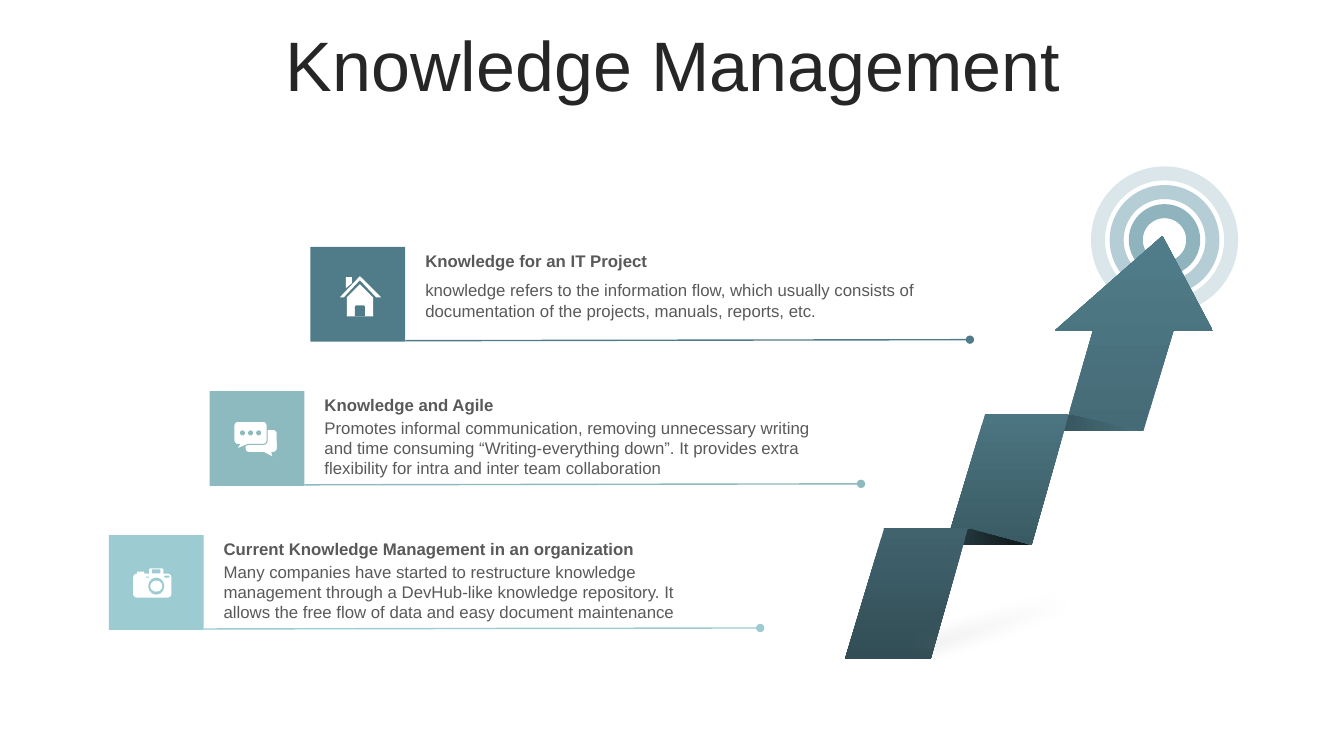
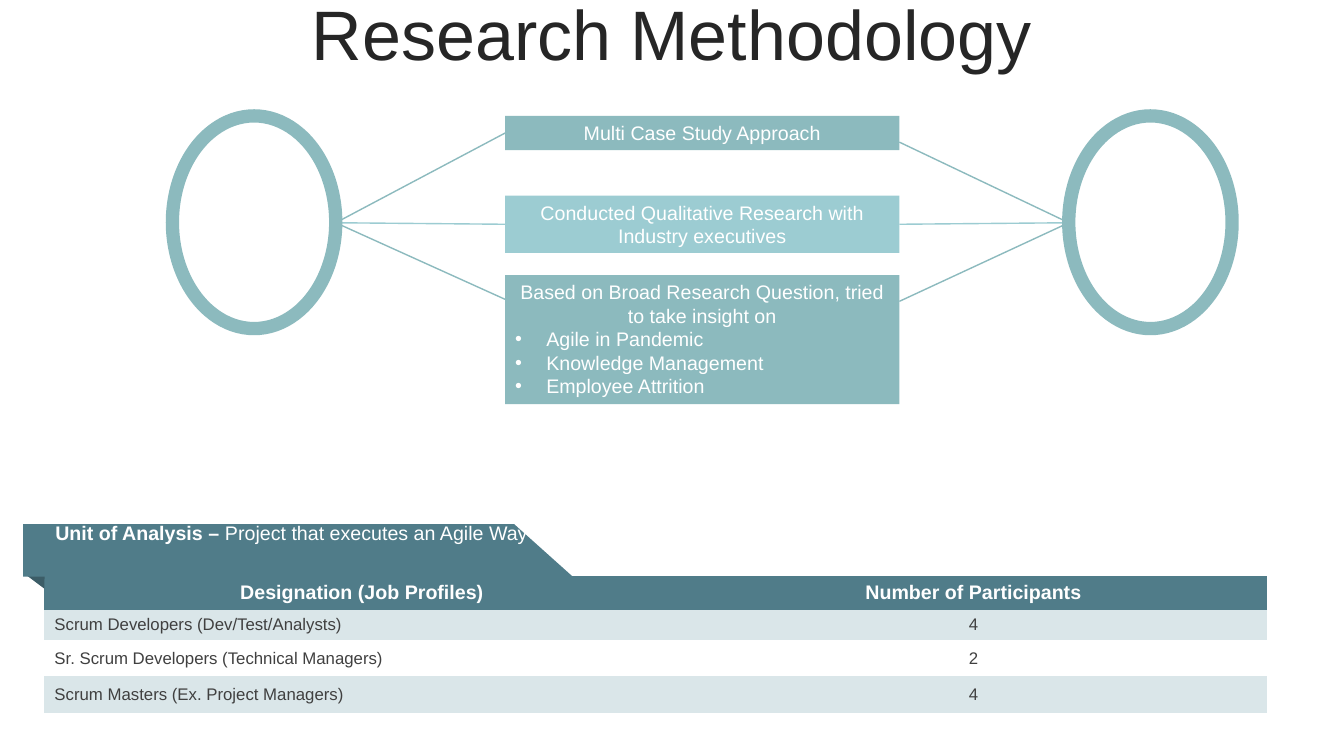
from lxml import etree
from pptx import Presentation
from pptx import util as u
from pptx.dml.color import RGBColor
from pptx.enum import shapes, text
from pptx.oxml.ns import qn

In = u.Inches
MSO = shapes.MSO_SHAPE
CENTER, LEFT = text.PP_ALIGN.CENTER, text.PP_ALIGN.LEFT
TOP, MIDDLE = text.MSO_ANCHOR.TOP, text.MSO_ANCHOR.MIDDLE
FONT = "Arial"
WHITE, INK, GREY, CELL_INK = "FFFFFF", "262626", "595959", "404040"
DEEP, TEAL, SKY, PALE = "507C89", "8CBABE", "9CCCD2", "DAE6E9"
NO_STYLE = "{2D5ABB26-0587-4C30-8999-92F81FD0307C}"


def rgb(value):
    return RGBColor.from_string(value)


def sub(parent, tag, **attrs):
    return etree.SubElement(parent, qn(tag), attrs)


def paint(sp, fill=None, line=None, width=1):
    """Fill with a colour, or with (start, end, angle) as a gradient."""
    sp.shadow.inherit = False
    if fill is None:
        sp.fill.background()
    elif isinstance(fill, str):
        sp.fill.solid()
        sp.fill.fore_color.rgb = rgb(fill)
    else:
        sp.fill.gradient()
        sp.fill.gradient_angle = fill[2]
        for stop, value in zip(sp.fill.gradient_stops, fill):
            stop.color.rgb = rgb(value)
    if line:
        sp.line.color.rgb = rgb(line)
        sp.line.width = u.Pt(width)
    else:
        sp.line.fill.background()
    return sp


def shape(s, kind, box, *look):
    return paint(s.shapes.add_shape(kind, *map(In, box)), *look)


def outline(s, contours, fill, left=0, top=0):
    """Closed polygons, as one shape, offset from left and top."""
    moved = [[(In(left + x), In(top + y)) for x, y in c] for c in contours]
    builder = s.shapes.build_freeform(*moved[0][0], scale=1.0)
    builder.add_line_segments(moved[0][1:])
    for contour in moved[1:]:
        builder.move_to(*contour[0])
        builder.add_line_segments(contour[1:])
    return paint(builder.convert_to_shape(), fill)


def line(s, start, end, color, dot=False):
    c = s.shapes.add_connector(shapes.MSO_CONNECTOR.STRAIGHT,
                               *map(In, start + end))
    c.line.color.rgb = rgb(color)
    c.line.width = u.Pt(1)
    if dot:
        sub(c.line._get_or_add_ln(), "a:tailEnd", type="oval")
    sub(c._element.spPr, "a:effectLst")
    return c


def run(p, words, size, color, bold=False):
    r = p.add_run()
    r.text = words
    for name, value in {"name": FONT, "size": u.Pt(size), "bold": bold}.items():
        setattr(r.font, name, value)
    r.font.color.rgb = rgb(color)


def write(tf, words, size, color, bold=False, align=LEFT, anchor=TOP):
    tf.word_wrap = True
    tf.vertical_anchor = anchor
    p = tf.paragraphs[0]
    p.alignment = align
    run(p, words, size, color, bold)
    return p


def text_box(s, box, *words, **style):
    tf = s.shapes.add_textbox(*map(In, box)).text_frame
    return write(tf, *words, **style)


def title(s, box, words):
    p = text_box(s, box, words, 50, INK, align=CENTER, anchor=MIDDLE)
    p.line_spacing = 0.8


def house(s, left, top, color):
    outline(s, [
        [(0.49, 0.37), (0.62, 0.5), (0.62, 0.69), (0.36, 0.69), (0.36, 0.5)],
        [(0.35, 0.3), (0.41, 0.3), (0.41, 0.36), (0.35, 0.41)],
        [(0.49, 0.29), (0.7, 0.5), (0.65, 0.5), (0.49, 0.33),
         (0.33, 0.5), (0.29, 0.5)],
    ], WHITE, left, top)
    shape(s, MSO.ROUND_2_SAME_RECTANGLE,
          (left + 0.44, top + 0.58, 0.1, 0.11), color)


def chat(s, left, top, color):
    for x, y, width, tail in ((0.35, 0.38, 0.32, 0.38),
                              (0.24, 0.3, 0.33, -0.44)):
        bubble = shape(s, MSO.ROUNDED_RECTANGULAR_CALLOUT,
                       (left + x, top + y, width, 0.23), WHITE, color, 0.75)
        bubble.adjustments[0], bubble.adjustments[1] = tail, 0.72
    for i in range(3):
        shape(s, MSO.OVAL, (left + 0.3 + i * 0.08, top + 0.39, 0.05, 0.05),
              color)


def camera(s, left, top, color):
    for kind, x, y, w, h, fill in (
            (MSO.ROUNDED_RECTANGLE, 0.24, 0.38, 0.38, 0.24, WHITE),
            (MSO.RECTANGLE, 0.28, 0.36, 0.07, 0.03, WHITE),
            (MSO.ROUNDED_RECTANGLE, 0.4, 0.33, 0.14, 0.07, WHITE),
            (MSO.RECTANGLE, 0.43, 0.34, 0.08, 0.04, color),
            (MSO.RECTANGLE, 0.37, 0.41, 0.03, 0.01, color),
            (MSO.RECTANGLE, 0.55, 0.4, 0.05, 0.02, color),
            (MSO.OVAL, 0.39, 0.42, 0.16, 0.17, color),
            (MSO.OVAL, 0.41, 0.45, 0.12, 0.11, WHITE)):
        shape(s, kind, (left + x, top + y, w, h), fill)


def topic(s, left, top, color, icon, head, body, body_gap, reach):
    line(s, (left + 0.94, top + 0.93), (left + reach, top + 0.92), color, True)
    text_box(s, (left + 1.04, top + body_gap, 5.1, 0.71), body, 12, GREY)
    text_box(s, (left + 1.04, top - 0.01, 5.1, 0.3), head, 12, GREY, True)
    shape(s, MSO.RECTANGLE, (left, top, 0.94, 0.94), color)
    icon(s, left, top, color)


def target(s, x, y):
    for size, color in ((1.32, PALE), (0.95, "B5CDD4"), (0.57, "90B4BE")):
        shape(s, MSO.OVAL, (x - size / 2, y - size / 2, size, size),
              None, color, 10)


def folded_arrow(s, left, top):
    """The rising ribbon; left and top are its extreme corner."""
    panel = [(0.39, 0), (1.22, 0), (0.85, 1.3), (0, 1.3)]
    head = [(3.15, 0), (3.65, 0.94), (3.26, 0.94), (2.96, 1.94),
            (2.17, 1.94), (2.46, 0.94), (2.08, 0.94)]
    upper_fold = [(2.96, 1.94), (2.25, 1.78), (1.4, 1.78), (1.91, 1.94)]
    lower_fold = [(1.83, 3.07), (1.24, 2.91), (0.38, 2.9), (0.84, 3.06)]
    for points, dx, dy, fill in (
            (head, 0, 0, ("456B76", DEEP, 90)),
            (upper_fold, 0, 0, ("48707B", "263C42", 180)),
            (panel, 1, 1.77, ("4B7581", "3A5B64", 270)),
            (lower_fold, 0, 0, ("3E616B", "0E1517", 0)),
            (panel, 0, 2.9, ("40636E", "324D55", 270))):
        outline(s, [points], fill, left + dx, top + dy)


def soft_shadow(s, left, top):
    sp = outline(s, [[(0, 1.05), (1.54, 1.11), (4.74, 0), (3.23, 0.12)]],
                 "808080", left, top)
    props = sp._element.spPr
    sub(props.find(".//" + qn("a:srgbClr")), "a:alpha", val="25000")
    sub(props.find(qn("a:effectLst")), "a:softEdge", rad=str(In(0.17)))


def knowledge_slide(s):
    title(s, (0.35, 0.31, 12.66, 0.79), "Knowledge Management")
    target(s, 11.55, 2.38)
    folded_arrow(s, 8.38, 2.34)
    topics = (
        (DEEP, house, "Knowledge for an IT Project",
         "knowledge refers to the information flow, which usually consists of "
         "documentation of the projects, manuals, reports, etc.", 0.28, 6.54),
        (TEAL, chat, "Knowledge and Agile",
         "Promotes informal communication, removing unnecessary writing and "
         "time consuming “Writing-everything down”. It provides extra "
         "flexibility for intra and inter team collaboration", 0.21, 6.46),
        (SKY, camera, "Current Knowledge Management in an organization",
         "Many companies have started to restructure knowledge management "
         "through a DevHub-like knowledge repository. It allows the free flow "
         "of data and easy document maintenance", 0.21, 6.46))
    for i, parts in enumerate(topics):
        topic(s, 3.08 - i, 2.45 + 1.43 * i, *parts)
    soft_shadow(s, 7.82, 5.49)


def bullet(tf, words):
    p = tf.add_paragraph()
    p.alignment = LEFT
    props = p._p.get_or_add_pPr()
    props.set("marL", str(In(0.31)))
    props.set("indent", str(-In(0.31)))
    sub(props, "a:buFont", typeface=FONT)
    sub(props, "a:buChar", char="•")
    run(p, words, 14, WHITE)


def method_map(s, left, top):
    """Three steps between two rings, joined by lines."""
    box_left, box_right, mid = left + 3.3, left + 7.21, top + 1.06
    ring_w, right_ring = 1.62, left + 8.89
    steps = (
        (0, 0.34, TEAL, "Multi Case Study Approach", 0.17, 0.26),
        (0.79, 0.57, SKY,
         "Conducted Qualitative Research with Industry executives", None, None),
        (1.58, 1.28, TEAL,
         "Based on Broad Research Question, tried to take insight on",
         0.24, 0.26))
    for y, height, color, words, left_y, right_y in steps:
        box = shape(s, MSO.RECTANGLE,
                    (box_left, top + y, box_right - box_left, height), color)
        write(box.text_frame, words, 14, WHITE, align=CENTER)
        ends = ((box_left, left_y, left + ring_w, 1),
                (box_right, right_y, right_ring, 3))
        for x, drop, ring_x, side in ends:
            at = height / 2 if drop is None else drop
            c = line(s, (x, top + y + at), (ring_x, mid), color)
            if at == height / 2:
                c.begin_connect(box, side)
    for words in ("Agile in Pandemic", "Knowledge Management",
                  "Employee Attrition"):
        bullet(box.text_frame, words)
    for x in (left, right_ring):
        shape(s, MSO.OVAL, (x, top, ring_w, 2.11), WHITE, TEAL, 9.5)


def participants_table(s, left, top):
    rows = (("Designation (Job Profiles)", "Number of Participants"),
            ("Scrum Developers (Dev/Test/Analysts)", "4"),
            ("Sr. Scrum Developers (Technical Managers)", "2"),
            ("Scrum Masters (Ex. Project Managers)", "4"))
    widths, heights = (6.3, 5.83), (0.34, 0.3, 0.36, 0.36)
    table = s.shapes.add_table(
        len(rows), len(widths),
        *map(In, (left, top, sum(widths), sum(heights)))).table
    table._tbl.tblPr.find(qn("a:tableStyleId")).text = NO_STYLE
    for col, width in zip(table.columns, widths):
        col.width = In(width)
    for i, (values, height) in enumerate(zip(rows, heights)):
        table.rows[i].height = In(height)
        style = (12, CELL_INK) if i else (14, WHITE, True)
        for j, value in enumerate(values):
            cell = table.cell(i, j)
            cell.vertical_anchor = MIDDLE
            cell.fill.solid()
            cell.fill.fore_color.rgb = rgb((DEEP, PALE, WHITE, PALE)[i])
            p = cell.text_frame.paragraphs[0]
            p.alignment = LEFT if i and not j else CENTER
            run(p, value, *style)


def ribbon(s, left, top):
    outline(s, [[(0.22, 0.03), (0.01, 0.02), (0.01, 0.49), (0.21, 0.64)]],
            "3C5D67", left, top)
    outline(s, [[(0, 0), (4.87, 0), (5.45, 0.52), (0, 0.52)]],
            DEEP, left, top)
    p = text_box(s, (left + 0.22, top - 0.08, 5.95, 0.7),
                 "Unit of Analysis – ", 14, WHITE, True)
    run(p, "Project that executes an Agile Way", 14, WHITE)


def methodology_slide(s):
    title(s, (0, 0.01, 13.33, 0.78), "Research Methodology")
    participants_table(s, 0.44, 5.71)
    ribbon(s, 0.23, 5.2)
    method_map(s, 1.71, 1.15)


def main():
    prs = Presentation()
    prs.slide_width, prs.slide_height = In(13.33), In(7.5)
    for build in (knowledge_slide, methodology_slide):
        build(prs.slides.add_slide(prs.slide_layouts[6]))
    prs.save("out.pptx")


if __name__ == "__main__":
    main()
